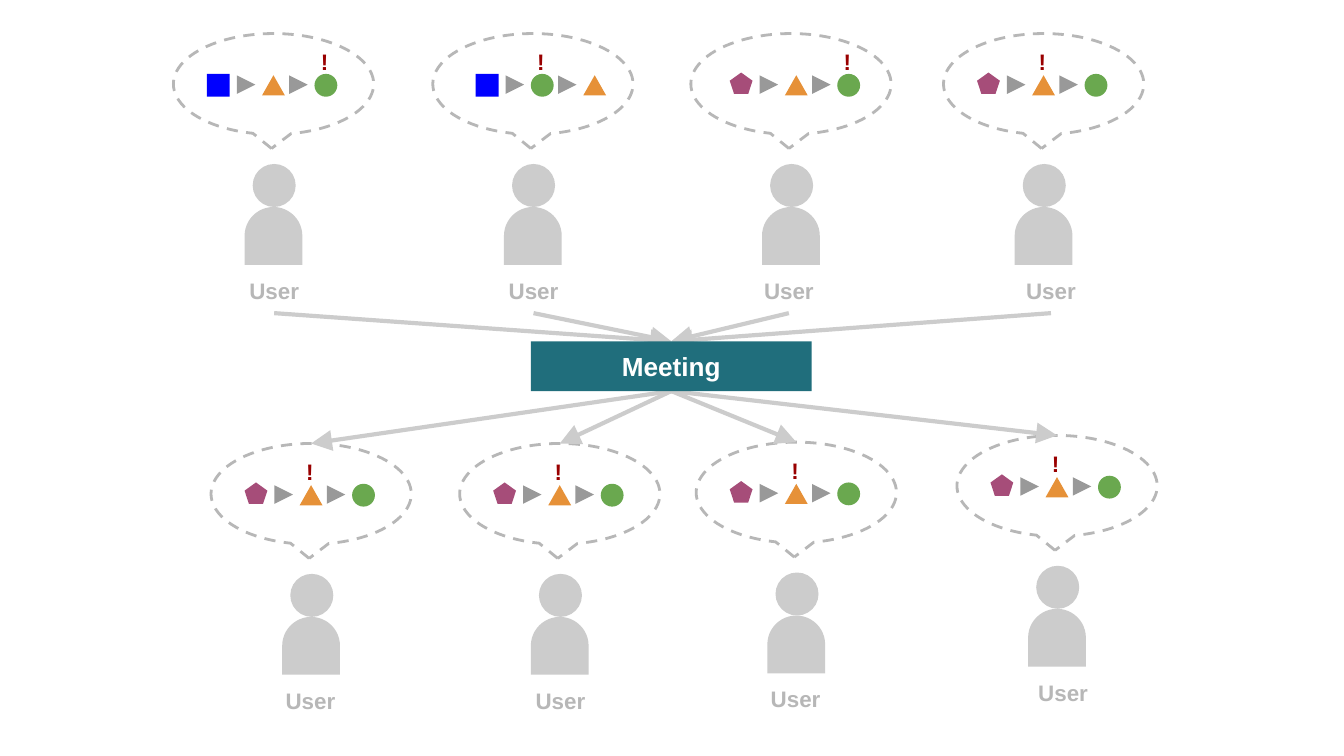
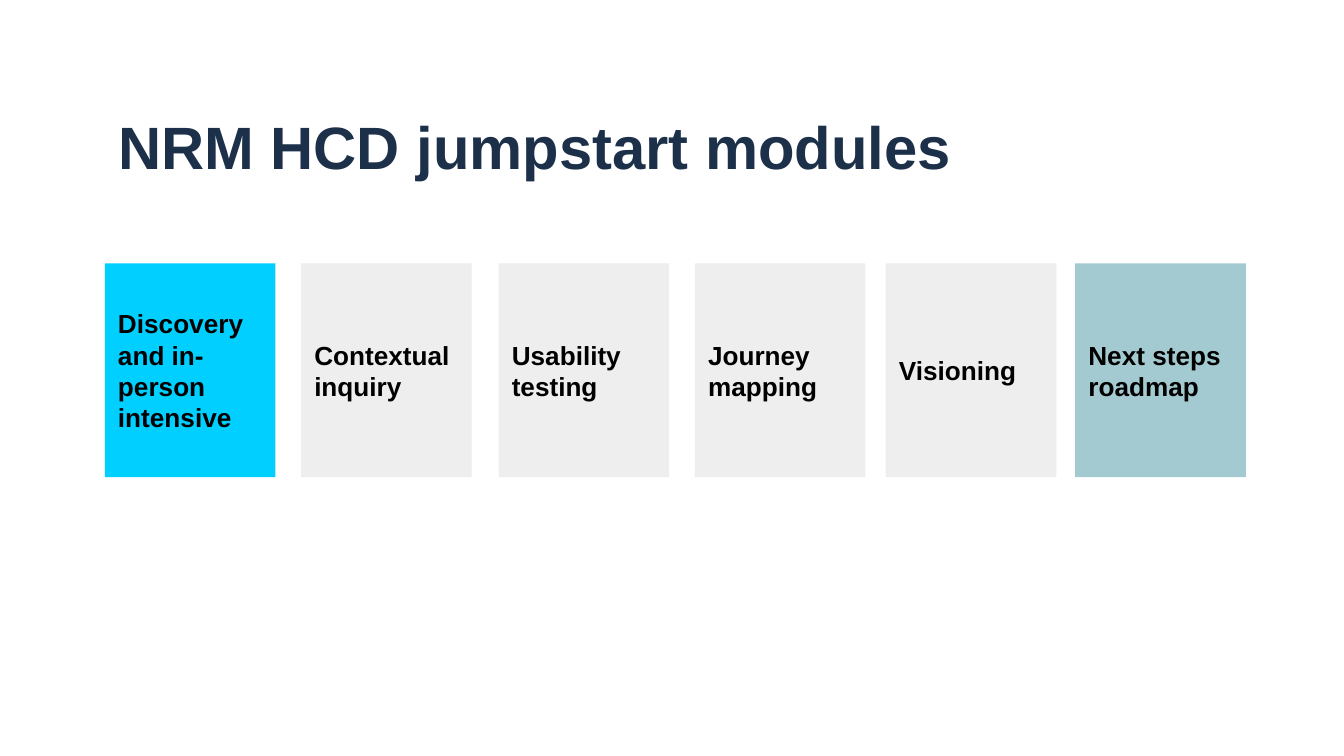
from dataclasses import dataclass
from lxml.etree import SubElement
from pptx import Presentation
from pptx.dml.color import RGBColor
from pptx.enum.dml import MSO_LINE
from pptx.enum.shapes import MSO_CONNECTOR, MSO_SHAPE as Preset
from pptx.enum.text import MSO_ANCHOR as Anchor, PP_ALIGN as Align
from pptx.oxml.ns import qn
from pptx.util import Emu, Pt

PX = 9144
WIDTH = 1000
TOP, BOTTOM = 0, 2


@dataclass(frozen=True)
class Theme:
    font: str = "Arial"
    navy: str = "1C304A"
    teal: str = "206E7C"
    sea: str = "26818F"
    cyan: str = "00CFFF"
    pale: str = "EEEEEE"
    silver: str = "CCCCCC"
    outline: str = "B7B7B7"
    gray: str = "999999"
    alert: str = "990000"
    blue: str = "0000FF"
    orange: str = "E69138"
    green: str = "6AA84F"
    plum: str = "A64D79"
    white: str = "FFFFFF"
    black: str = "000000"
    title_size: int = 32
    body_size: int = 14
    label_size: int = 12


THEME = Theme()

SYMBOLS = {
    "square": (Preset.RECTANGLE, THEME.blue, 0, 17),
    "triangle": (Preset.ISOSCELES_TRIANGLE, THEME.orange, 1, 15),
    "circle": (Preset.OVAL, THEME.green, 0, 17),
    "pentagon": (Preset.REGULAR_PENTAGON, THEME.plum, -1, 16),
}
SQUARE_FIRST = ("square", "triangle", "circle")
CIRCLE_SECOND = ("square", "circle", "triangle")
PENTAGON_FIRST = ("pentagon", "triangle", "circle")

USERS_BEFORE = [
    (129, 25, 29, 25, SQUARE_FIRST, 2),
    (322, 25, 29, 32, CIRCLE_SECOND, 1),
    (514, 25, 27, 29, PENTAGON_FIRST, 2),
    (702, 25, 34, 25, PENTAGON_FIRST, 1),
]
USERS_AFTER = [
    (157, 330, 28, 25, PENTAGON_FIRST, 1),
    (342, 330, 29, 25, PENTAGON_FIRST, 1),
    (518, 329, 28, 25, PENTAGON_FIRST, 1),
    (712, 324, 33, 25, PENTAGON_FIRST, 1),
]

MODULES = [
    (78, "Discovery and in-person intensive", THEME.cyan, None),
    (224, "Contextual inquiry", THEME.pale, None),
    (371, "Usability testing", THEME.pale, None),
    (517, "Journey mapping", THEME.pale, None),
    (659, "Visioning", THEME.pale, None),
    (800, "Next steps roadmap", THEME.sea, 42),
]


def px(*lengths):
    return [Emu(length * PX) for length in lengths]


def rgb(color):
    return RGBColor.from_string(color)


def write(holder, text, size=THEME.body_size, color=THEME.black,
          align=Align.LEFT, anchor=Anchor.MIDDLE):
    frame = holder.text_frame
    frame.word_wrap = True
    frame.vertical_anchor = anchor
    frame.margin_left, frame.margin_top, frame.margin_right, frame.margin_bottom = px(10, 10, 10, 10)
    line = frame.paragraphs[0]
    line.alignment = align
    run = line.add_run()
    run.text = text
    run.font.name = THEME.font
    run.font.size = Pt(size)
    run.font.bold = True
    run.font.color.rgb = rgb(color)
    return holder


def textbox(slide, box, text, **style):
    return write(slide.shapes.add_textbox(*px(*box)), text, **style)


def solid(slide, preset, box, color, opacity=None):
    figure = slide.shapes.add_shape(preset, *px(*box))
    figure.shadow.inherit = False
    figure.line.fill.background()
    figure.fill.solid()
    figure.fill.fore_color.rgb = rgb(color)
    if opacity is not None:
        tint = figure._element.spPr.find(".//" + qn("a:srgbClr"))
        SubElement(tint, qn("a:alpha"), val=str(opacity * 1000))
    return figure


def arrow(slide, start, end, color, width):
    link = slide.shapes.add_connector(MSO_CONNECTOR.STRAIGHT, *px(*start, *end))
    link.line.color.rgb = rgb(color)
    link.line.width = Pt(width)
    properties = link._element.spPr
    SubElement(properties.find(qn("a:ln")), qn("a:tailEnd"), type="triangle", w="lg", len="lg")
    SubElement(properties, qn("a:effectLst"))
    return link


def draw_trail(slide, left, top, kinds, marked):
    for slot, kind in enumerate(kinds):
        x = left + (0, 41, 80)[slot]
        preset, color, drop, height = SYMBOLS[kind]
        solid(slide, preset, (x, top + drop, 17, height), color)
        if slot:
            arrow(slide, (x - 15, top + 8), (x - 5, top + 8), THEME.gray, 0.75)
        if slot == marked:
            textbox(slide, (x - 7, top - 29, 29, 37), "!", size=THEME.label_size,
                    color=THEME.alert, align=Align.CENTER, anchor=Anchor.TOP)


def draw_user(slide, left, top, label_shift, trail_shift, kinds, marked):
    body = solid(slide, Preset.FLOWCHART_DELAY, (left + 53, top + 129, 43, 43), THEME.silver)
    body.rotation = 270
    solid(slide, Preset.OVAL, (left + 59, top + 97, 32, 32), THEME.silver)
    draw_trail(slide, left + trail_shift, top + 30, kinds, marked)
    thought = slide.shapes.add_shape(Preset.OVAL_CALLOUT, *px(left, top, 149, 75))
    thought.shadow.inherit = False
    thought.fill.background()
    thought.line.color.rgb = rgb(THEME.outline)
    thought.line.width = Pt(1.5)
    thought.line.dash_style = MSO_LINE.DASH
    thought.adjustments[0], thought.adjustments[1] = -0.01, 0.64
    label = textbox(slide, (left + label_shift, top + 171, 92, 37), "User",
                    size=THEME.label_size, color=THEME.outline,
                    align=Align.CENTER, anchor=Anchor.TOP)
    return thought, label


def draw_meeting(slide, box, labels, thoughts):
    left, top, width, height = box
    middle = left + width // 2
    inflows = [arrow(slide, (middle, top), (middle, top), THEME.silver, 2.25) for _ in labels]
    outflows = [arrow(slide, (middle, top), (middle, top), THEME.silver, 2.25) for _ in thoughts]
    meeting = solid(slide, Preset.RECTANGLE, box, THEME.teal)
    write(meeting, "Meeting", color=THEME.white, align=Align.CENTER)
    for inflow, label in zip(inflows, labels):
        inflow.begin_connect(label, BOTTOM)
        inflow.end_connect(meeting, TOP)
    for outflow, thought in zip(outflows, thoughts):
        outflow.begin_connect(meeting, BOTTOM)
        outflow.end_connect(thought, TOP)


def build_meeting_slide(slide):
    labels = [draw_user(slide, *user)[1] for user in USERS_BEFORE]
    thoughts = [draw_user(slide, *user)[0] for user in USERS_AFTER]
    draw_meeting(slide, (395, 254, 209, 37), labels, thoughts)


def build_modules_slide(slide):
    textbox(slide, (78, 59, 808, 98), "NRM HCD jumpstart modules",
            size=THEME.title_size, color=THEME.navy)
    for left, name, color, opacity in MODULES:
        write(solid(slide, Preset.RECTANGLE, (left, 196, 127, 159), color, opacity), name)


def main():
    deck = Presentation()
    deck.slide_width = Emu(WIDTH * PX)
    deck.slide_height = Emu(WIDTH * PX * 9 // 16)
    blank = deck.slide_layouts[6]
    for build in (build_meeting_slide, build_modules_slide):
        build(deck.slides.add_slide(blank))
    deck.save("out.pptx")


if __name__ == "__main__":
    main()
